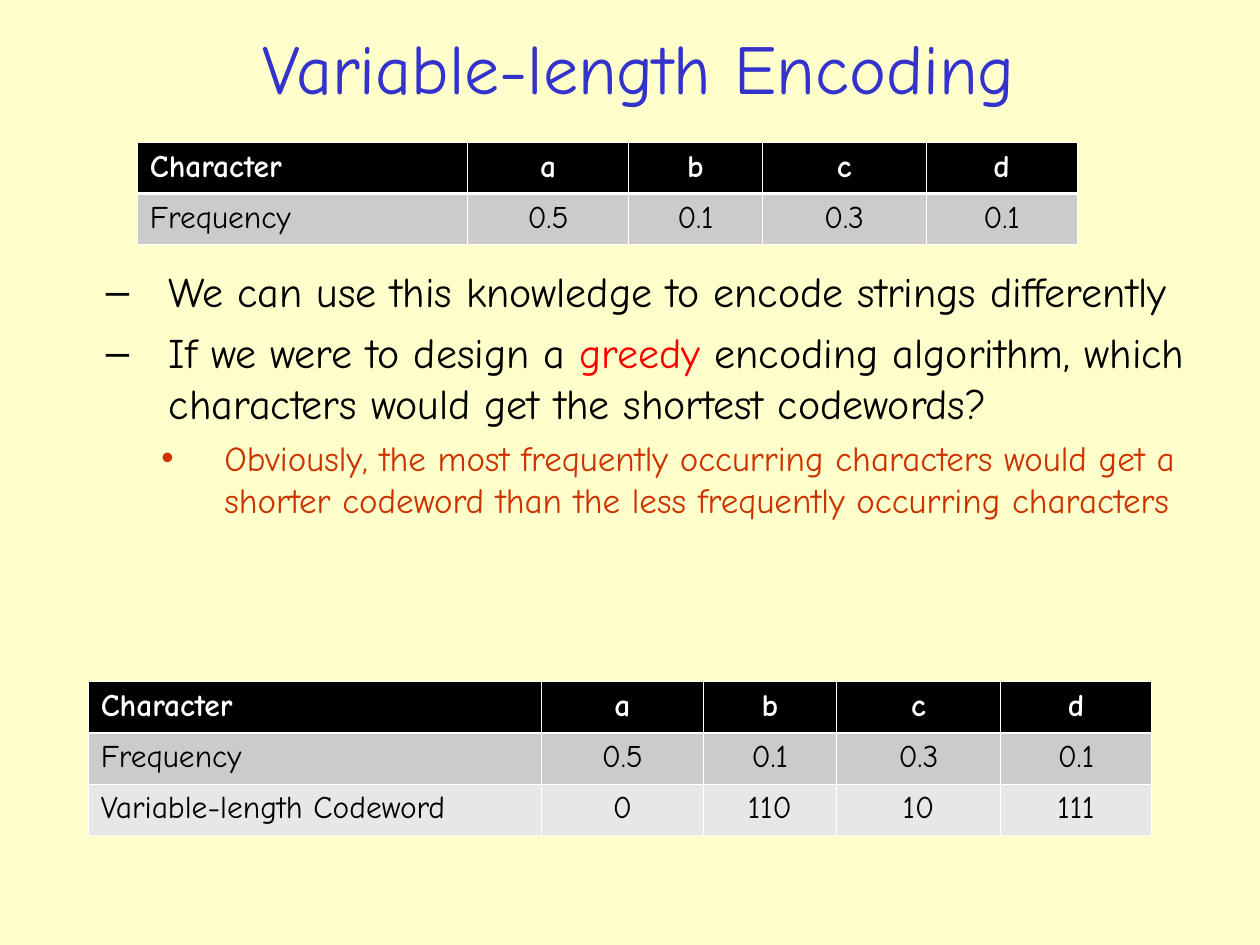
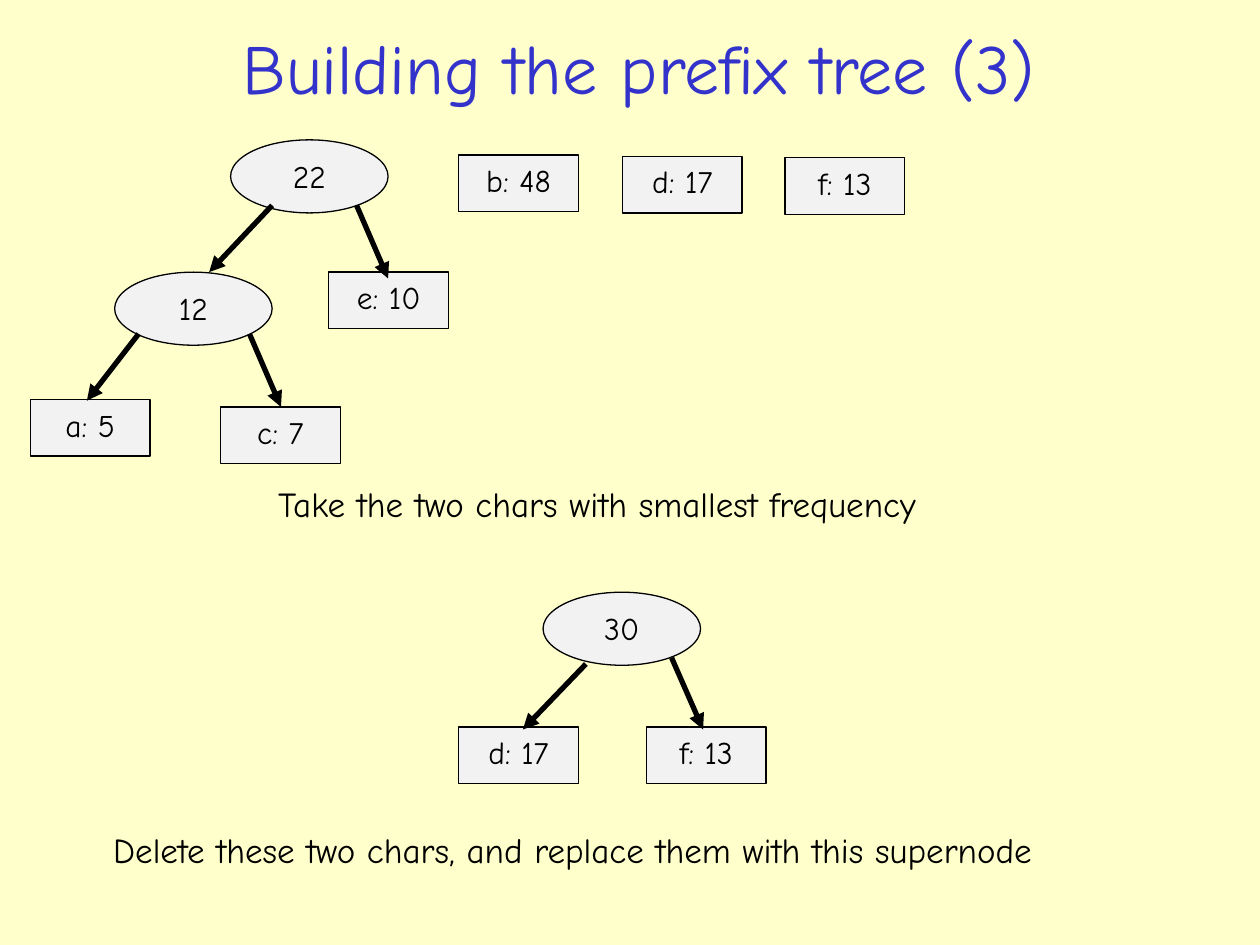
from typing import NamedTuple

from lxml import etree
from pptx import Presentation
from pptx.dml.color import RGBColor
from pptx.enum.shapes import MSO_CONNECTOR, MSO_SHAPE
from pptx.enum.text import MSO_ANCHOR, MSO_AUTO_SIZE, PP_ALIGN
from pptx.oxml.ns import qn
from pptx.util import Inches, Pt

# Enum members
RECT, OVAL = MSO_SHAPE.RECTANGLE, MSO_SHAPE.OVAL
LINE = MSO_CONNECTOR.STRAIGHT
LEFT, CENTER = PP_ALIGN.LEFT, PP_ALIGN.CENTER
TOP, MIDDLE = MSO_ANCHOR.TOP, MSO_ANCHOR.MIDDLE
NO_FIT = MSO_AUTO_SIZE.NONE

# Shared look
FONT = "Comic Neue"
CREAM = RGBColor(0xFF, 0xFF, 0xCC)
BLUE = RGBColor(0x33, 0x33, 0xCC)
BLACK = RGBColor(0x00, 0x00, 0x00)
WHITE = RGBColor(0xFF, 0xFF, 0xFF)
RED = RGBColor(0xFF, 0x00, 0x00)
RUST = RGBColor(0xCC, 0x33, 0x00)
PALE = RGBColor(0xF2, 0xF2, 0xF2)
BANDS = BLACK, RGBColor(0xCB, 0xCB, 0xCB), RGBColor(0xE7, 0xE7, 0xE7)
THIN, THICK = Pt(0.45), Pt(1.47)

# Grid of 100 columns by 75 rows
COLS, ROWS = 100, 75
WIDTH, HEIGHT = Inches(10), Inches(7.5)


class Point(NamedTuple):
    col: float
    row: float


class Box(NamedTuple):
    col: float
    row: float
    wide: float
    high: float


class Item(NamedTuple):
    level: int
    words: list[tuple[str, RGBColor]]
    size: int
    space: int
    indent: float
    mark: str


class Grid(NamedTuple):
    box: Box
    first: float
    data: list[list[str]]


class Node(NamedTuple):
    text: str
    col: float
    row: float


class Edge(NamedTuple):
    start: Point
    end: Point


class Note(NamedTuple):
    text: str
    box: Box


LETTERS = ["Character", "a", "b", "c", "d"]
COUNTS = ["Frequency", "0.5", "0.1", "0.3", "0.1"]
CODES = ["Variable-length Codeword", "0", "110", "10", "111"]
REST = [12.8, 10.6, 13, 12]

GRIDS = [
    Grid(Box(7, 54.1, 84.2, 12.2), 36, [LETTERS, COUNTS, CODES]),
    Grid(Box(10.9, 11.3, 74.7, 8.1), 26.2, [LETTERS, COUNTS]),
]
ITEMS = [
    Item(1, [("We can use this knowledge to encode strings differently", BLACK)],
         24, 6, 1, "–"),
    Item(1, [("If we were to design a ", BLACK), ("greedy ", RED),
             ("encoding algorithm, which characters would get the shortest "
              "codewords?", BLACK)], 24, 6, 1, "–"),
    Item(2, [("Obviously, the most frequently occurring characters would get a "
              "shorter codeword than the less frequently occurring characters",
              RUST)], 20, 5, 1.44, "•"),
]

LEAVES = [
    Node("b: 48", 36.4, 12.3), Node("d: 17", 49.4, 12.4), Node("f: 13", 62.3, 12.5),
    Node("e: 10", 26.1, 21.6), Node("a: 5", 2.4, 31.7), Node("c: 7", 17.5, 32.3),
    Node("d: 17", 36.4, 57.7), Node("f: 13", 51.3, 57.7),
]
KNOTS = [Node("22", 18.3, 11.1), Node("12", 9.1, 21.6), Node("30", 43.1, 47)]
EDGES = [
    Edge(Point(21.6, 16.3), Point(16.6, 21.6)),
    Edge(Point(28.3, 16.3), Point(30.8, 22.1)),
    Edge(Point(11, 26.5), Point(6.9, 31.8)),
    Edge(Point(19.8, 26.5), Point(22.3, 32.3)),
    Edge(Point(46.5, 52.7), Point(41.5, 57.9)),
    Edge(Point(53.3, 52.2), Point(55.8, 57.9)),
]
NOTES = [
    Note("Take the two chars with smallest frequency", Box(21.1, 37.8, 53, 4.4)),
    Note("Delete these two chars, and replace them with this supernode",
         Box(8, 65.3, 75.1, 4.4)),
]


def across(cols: float) -> int:
    return round(WIDTH * cols / COLS)


def down(rows: float) -> int:
    return round(HEIGHT * rows / ROWS)


def place(box: Box) -> tuple[int, int, int, int]:
    return across(box.col), down(box.row), across(box.wide), down(box.high)


def move(shape, box: Box) -> None:
    shape.left, shape.top, shape.width, shape.height = place(box)


def style(run, size: int, color: RGBColor, bold: bool = False) -> None:
    font = run.font
    font.name, font.size, font.bold = FONT, Pt(size), bold
    font.color.rgb = color


def write(frame, text: str, size: int, color: RGBColor,
          align=LEFT, bold: bool = False) -> None:
    frame.text = text
    para = frame.paragraphs[0]
    para.alignment = align
    style(para.runs[0], size, color, bold)


def add_page(deck, layout: int, title: str):
    page = deck.slides.add_slide(deck.slide_layouts[layout])
    write(page.shapes.title.text_frame, title, 40, BLUE, CENTER)
    return page


def set_mark(para, item: Item) -> None:
    props = para._p.get_or_add_pPr()
    props.set("marL", str(Inches(item.indent)))
    props.set("indent", str(-Inches(0.5)))
    tint = etree.SubElement(etree.SubElement(props, qn("a:buClr")), qn("a:srgbClr"))
    tint.set("val", str(item.words[0][1]))
    etree.SubElement(props, qn("a:buChar")).set("char", item.mark)


def fill_list(body, items: list[Item]) -> None:
    frame = body.text_frame
    frame.auto_size, frame.vertical_anchor = NO_FIT, TOP
    for i, item in enumerate(items):
        para = frame.add_paragraph() if i else frame.paragraphs[0]
        para.level, para.space_before = item.level, Pt(item.space)
        para.alignment = LEFT
        set_mark(para, item)
        for text, color in item.words:
            run = para.add_run()
            run.text = text
            style(run, item.size, color)


def edge_cell(cell, row: int) -> None:
    props = cell._tc.get_or_add_tcPr()
    heavy = {0: "lnB", 1: "lnT"}.get(row)
    for i, side in enumerate(("lnL", "lnR", "lnT", "lnB")):
        line = etree.Element(qn(f"a:{side}"))
        line.set("w", str(THICK if side == heavy else THIN))
        fill = etree.SubElement(line, qn("a:solidFill"))
        etree.SubElement(fill, qn("a:srgbClr")).set("val", str(WHITE))
        props.insert(i, line)


def add_grid(page, grid: Grid) -> None:
    count = len(grid.data)
    table = page.shapes.add_table(count, len(LETTERS), *place(grid.box)).table
    for col, wide in zip(table.columns, [grid.first, *REST]):
        col.width = across(wide)
    for r, texts in enumerate(grid.data):
        table.rows[r].height = down(grid.box.high / count)
        for c, text in enumerate(texts):
            cell = table.cell(r, c)
            cell.fill.solid()
            cell.fill.fore_color.rgb = BANDS[r]
            write(cell.text_frame, text, 18, BLACK if r else WHITE,
                  CENTER if c else LEFT, r == 0)
            edge_cell(cell, r)


def add_node(page, node: Node, kind, wide: float, high: float) -> None:
    box = Box(node.col, node.row, wide, high)
    shape = page.shapes.add_shape(kind, *place(box))
    shape.shadow.inherit = False
    shape.fill.solid()
    shape.fill.fore_color.rgb = PALE
    shape.line.color.rgb, shape.line.width = BLACK, Pt(0.75)
    shape.text_frame.vertical_anchor = TOP
    write(shape.text_frame, node.text, 18, BLACK, CENTER)


def add_edge(page, edge: Edge) -> None:
    (x, y), (u, v) = edge.start, edge.end
    link = page.shapes.add_connector(LINE, across(x), down(y), across(u), down(v))
    link.line.color.rgb, link.line.width = BLACK, Pt(3)
    props = link._element.spPr
    tail = etree.SubElement(props.find(qn("a:ln")), qn("a:tailEnd"))
    tail.set("type", "triangle")
    etree.SubElement(props, qn("a:effectLst"))


def add_note(page, note: Note) -> None:
    frame = page.shapes.add_textbox(*place(note.box)).text_frame
    frame.word_wrap = False
    write(frame, note.text, 20, BLACK)


def set_master(deck) -> None:
    master = deck.slide_master
    master.background.fill.solid()
    master.background.fill.fore_color.rgb = CREAM
    title = master.placeholders[0]
    move(title, Box(3, 1.5, 95.4, 7.6))
    title.text_frame.vertical_anchor = MIDDLE
    title.text_frame.auto_size = NO_FIT


def main() -> None:
    deck = Presentation()
    deck.slide_width, deck.slide_height = WIDTH, HEIGHT
    set_master(deck)

    # Slide 1: list between two tables
    page = add_page(deck, 1, "Variable-length Encoding")
    body = page.placeholders[1]
    move(body, Box(2.4, 20.6, 95, 29.9))
    fill_list(body, ITEMS)
    for grid in GRIDS:
        add_grid(page, grid)

    # Slide 2: prefix tree
    page = add_page(deck, 5, "Building the prefix tree (3)")
    for leaf in LEAVES:
        add_node(page, leaf, RECT, 9.5, 4.5)
    for knot in KNOTS:
        add_node(page, knot, OVAL, 12.5, 5.8)
    for edge in EDGES:
        add_edge(page, edge)
    for note in NOTES:
        add_note(page, note)

    deck.save("out.pptx")


if __name__ == "__main__":
    main()
